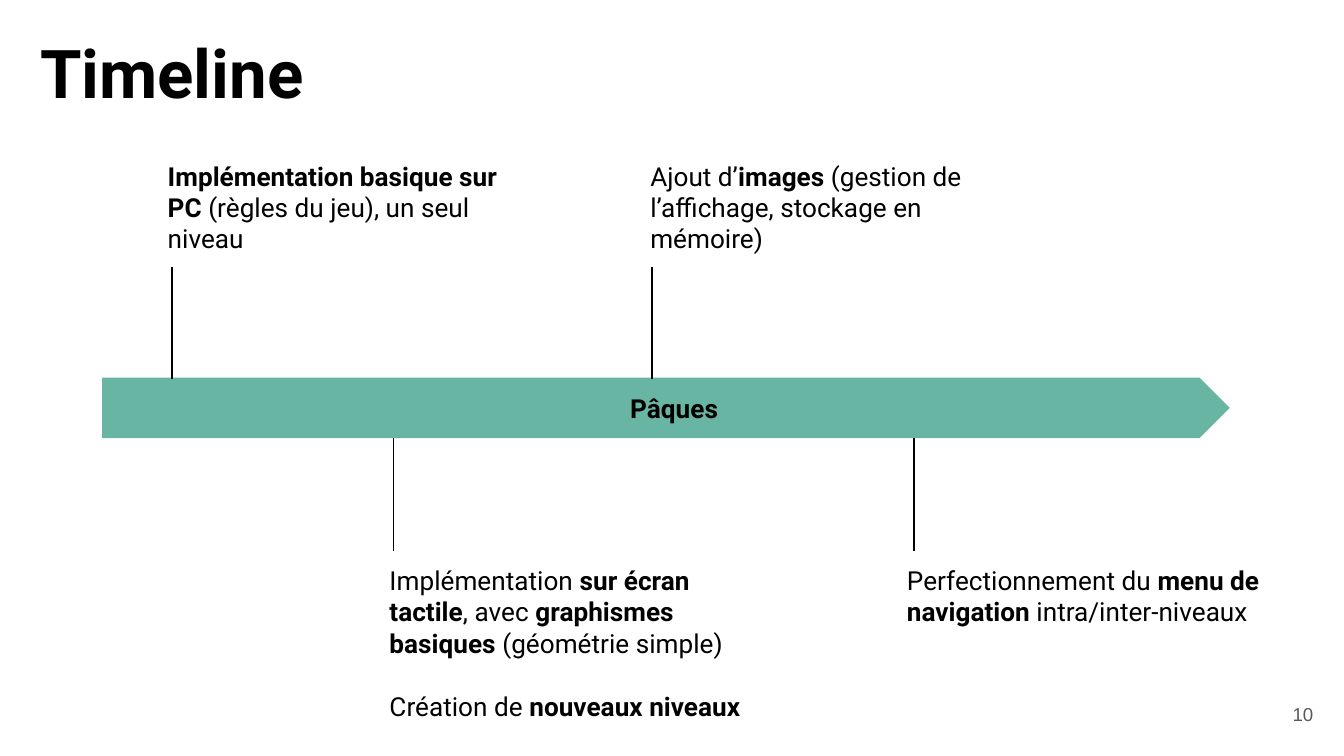
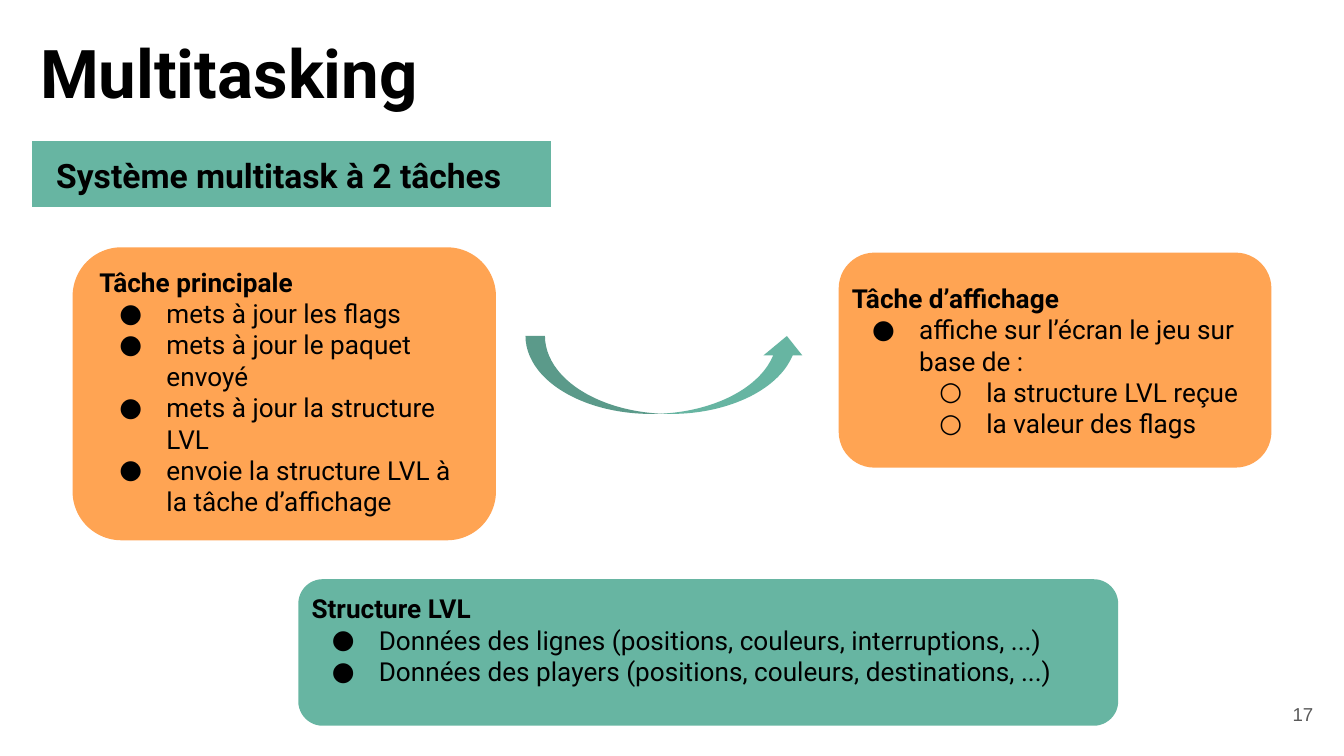
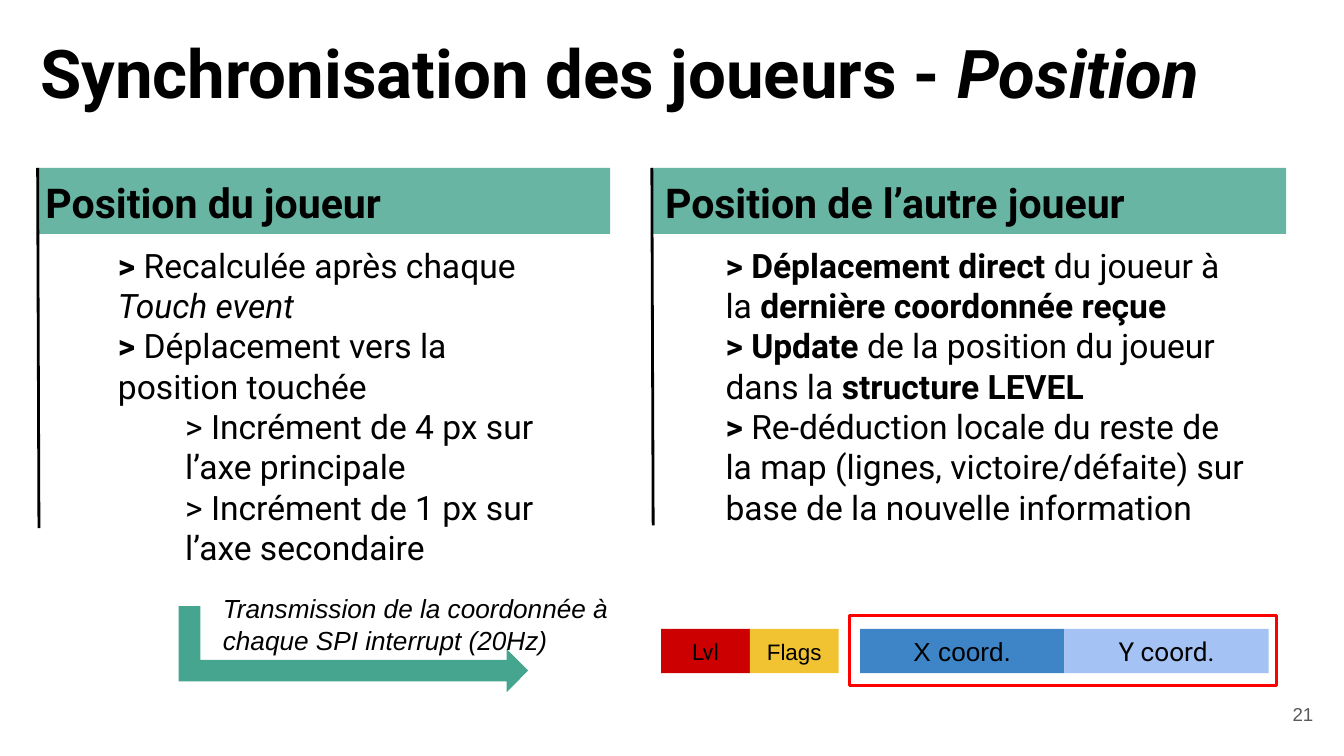
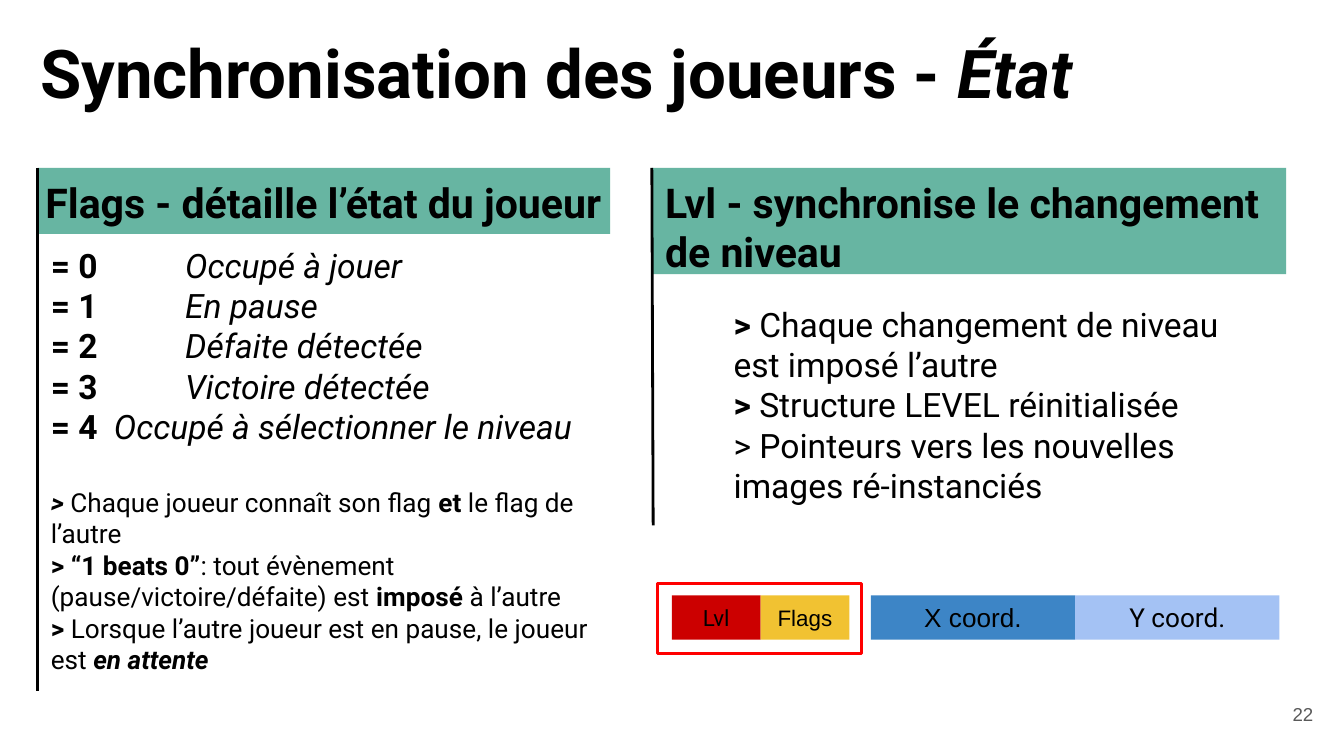
import pptx
import pptx.util
import pptx.dml.color
import pptx.enum.shapes
import pptx.enum.text
import pptx.oxml
import pptx.oxml.ns

PX = 9144
SLIDE_WIDTH = 1000
SHAPE = pptx.enum.shapes.MSO_SHAPE
ALIGN = pptx.enum.text.PP_ALIGN
ANCHOR = pptx.enum.text.MSO_ANCHOR

BLACK, GREY, TEAL, ORANGE, RED = "000000", "595959", "46A58E", "FFA453", "FF0000"
TEAL_OPACITY = 82
DEFAULT = {"name": "Roboto", "size": 14, "color": BLACK}
TITLE = {**DEFAULT, "size": 36}
SUBTITLE = {**DEFAULT, "size": 18}
HEADING = {**DEFAULT, "size": 22}
BODY = {**DEFAULT, "size": 18}
CAPTION = {**DEFAULT, "name": "Arial"}
PAGE = {"name": "Arial", "size": 10, "color": GREY}

TITLE_BOX = (20, 13, 932, 63)
PAGE_BOX = (927, 510, 60, 43)
COLUMN_TOP, HEADING_TOP = 125, 122

ARROW_BOX = (76, 281, 839, 45)
ARROW_LABEL = ("*Pâques*", (459, 282, 108, 22))
MILESTONE_SIZE = (286, 89)
ABOVE = {"text_top": 109, "stem": (282, 199)}
BELOW = {"text_top": 410, "stem": (410, 326)}
MILESTONES = [
    (ABOVE, 115, 128, ["*Implémentation basique sur PC* (règles du jeu), un seul niveau"]),
    (BELOW, 280, 293, [
        "Implémentation *sur écran tactile*, avec *graphismes basiques* (géométrie simple)",
        ("Création de *nouveaux niveaux*", {"gap": 16.8}),
    ]),
    (ABOVE, 474, 485, ["Ajout d’*images* (gestion de l’affichage, stockage en mémoire)"]),
    (BELOW, 665, 680, ["Perfectionnement du *menu de navigation* intra/inter-niveaux"]),
]

SYSTEM = ("*Système multitask à 2 tâches*", (24, 105, 386, 49), (32, 105, 371, 63))
DOT = {"bullet": "●"}
RING = {"bullet": "○", "level": 1}
CARDS = [
    (ORANGE, 100, (54, 184, 315, 218), (64, 188, 295, 177), [
        "*Tâche principale*",
        ("mets à jour les flags", DOT),
        ("mets à jour le paquet envoyé", DOT),
        ("mets à jour la structure LVL", DOT),
        ("envoie la structure LVL à la tâche d’affichage", DOT),
    ]),
    (ORANGE, 100, (624, 188, 322, 160), (624, 200, 315, 177), [
        "*Tâche d’affichage*",
        ("affiche sur l’écran le jeu sur base de :", DOT),
        ("la structure LVL reçue", RING),
        ("la valeur des flags", RING),
    ]),
    (TEAL, TEAL_OPACITY, (222, 431, 610, 109), (222, 431, 691, 90), [
        "*Structure LVL*",
        ("Données des lignes (positions, couleurs, interruptions, ...)", DOT),
        ("Données des players (positions, couleurs, destinations, ...)", DOT),
    ]),
]
HANDOVER_BOX = (391, 250, 209, 58)

LEFT = {"band": (28, 426), "heading": (24, 446)}
RIGHT = {"band": (485, 472), "heading": (485, 472)}
INDENT = {"indent": 50}
DEEPER = {"indent": 100}
WIDE_TAB = {"tab": 100}
NOTE = {"size": 14}

POSITION_COLUMNS = [
    (LEFT, 49, "*Position du joueur*", (29, 393), (28, 172, 404, 259), [
        ("*>* Recalculée après chaque _Touch event_", INDENT),
        ("*> *Déplacement vers la position touchée", INDENT),
        ("> Incrément de 4 px sur l’axe principale", DEEPER),
        ("> Incrément de 1 px sur l’axe secondaire", DEEPER),
    ]),
    (RIGHT, 49, "*Position de l’autre joueur*", (486, 391), (480, 172, 458, 259), [
        ("*> Déplacement direct* du joueur à la *dernière coordonnée reçue*", INDENT),
        ("*> Update *de la position du joueur dans la *structure LEVEL*", INDENT),
        ("*> *Re-déduction locale du reste de la map (lignes, victoire/défaite) "
         "sur base de la nouvelle information", INDENT),
    ]),
]
TRANSMISSION = ("_Transmission de la coordonnée à chaque SPI interrupt (20Hz)_",
                (156, 431, 310, 43), (231, 353, 64, 260))

STATE_COLUMNS = [
    (LEFT, 49, "*Flags - détaille l’état du joueur*", (28, 514), (28, 172, 426, 166), [
        ("*= 0\t*_Occupé à jouer_", WIDE_TAB),
        ("*= 1\t*_En pause_", WIDE_TAB),
        ("*= 2\t*_Défaite détectée_", WIDE_TAB),
        ("*= 3\t*_Victoire détectée_", WIDE_TAB),
        ("*= 4\t*_Occupé à sélectionner le niveau_", {"tab": 47}),
        ("*_> _*Chaque joueur connaît son flag *et* le flag de l’autre", {**NOTE, "gap": 21.6}),
        ("*> “1 beats 0”*: tout évènement (pause/victoire/défaite) est *imposé* à l’autre", NOTE),
        ("*> *Lorsque l’autre joueur est en pause, le joueur est *_en attente_*", NOTE),
    ]),
    (RIGHT, 79, "*Lvl - synchronise le changement de niveau*", (486, 391), (486, 216, 458, 174), [
        ("*> *Chaque changement de niveau est imposé l’autre", INDENT),
        ("*> *Structure LEVEL réinitialisée", INDENT),
        ("> Pointeurs vers les nouvelles images ré-instanciés", INDENT),
    ]),
]

FIELD_HEIGHT = 33
PACKET = [
    ("Lvl", 0, 66, "CC0000", {"name": "Roboto", "size": 12, "color": BLACK}),
    ("Flags", 0, 66, "F1C232", {"name": "Arial", "size": 12, "color": BLACK}),
    ("X coord.", 16, 152, "3D85C6", CAPTION),
    ("Y coord.", 0, 152, "A4C2F4", DEFAULT),
]


def px(*lengths):
    return [pptx.util.Emu(length * PX) for length in lengths]


def rgb(value):
    return pptx.dml.color.RGBColor.from_string(value)


def assign(target, values):
    for key, value in values.items():
        setattr(target, key, value)


def add_xml(parent, tag, **attributes):
    child = pptx.oxml.parse_xml(f"<a:{tag} {pptx.oxml.ns.nsdecls('a')}/>")
    for key, value in attributes.items():
        child.set(key, str(value))
    parent.append(child)
    return child


def add_runs(paragraph, marked, style):
    for strong, piece in enumerate(marked.split("*")):
        for slanted, words in enumerate(piece.split("_")):
            if words:
                run = paragraph.add_run()
                run.text = words
                assign(run.font, {"name": style["name"], "size": pptx.util.Pt(style["size"]),
                                  "bold": strong % 2 == 1, "italic": slanted % 2 == 1})
                run.font.color.rgb = rgb(style["color"])


def layout_paragraph(paragraph, options):
    level = options.get("level", 0)
    paragraph.level = level
    if "gap" in options:
        paragraph.space_before = pptx.util.Pt(options["gap"])
    properties = paragraph._p.get_or_add_pPr()
    if "indent" in options:
        properties.set("marL", str(options["indent"] * PX))
        properties.set("indent", "0")
    if "bullet" in options:
        properties.set("marL", str(50 * (level + 1) * PX))
        properties.set("indent", str(-35 * PX))
        add_xml(add_xml(properties, "buClr"), "srgbClr", val=BLACK)
        add_xml(properties, "buFont", typeface=DEFAULT["name"])
        add_xml(properties, "buChar", char=options["bullet"])
    if "tab" in options:
        add_xml(add_xml(properties, "tabLst"), "tab", pos=options["tab"] * PX, algn="l")


def write(frame, paragraphs, style, align=ALIGN.LEFT, anchor=ANCHOR.TOP):
    margins = ("margin_left", "margin_top", "margin_right", "margin_bottom")
    assign(frame, {"word_wrap": True, "vertical_anchor": anchor,
                   **dict.fromkeys(margins, px(10)[0])})
    for index, entry in enumerate(paragraphs):
        marked, options = (entry, {}) if isinstance(entry, str) else entry
        paragraph = frame.add_paragraph() if index else frame.paragraphs[0]
        paragraph.alignment = align
        layout_paragraph(paragraph, options)
        add_runs(paragraph, marked, {**style, "size": options.get("size", style["size"])})


def add_text(slide, box, paragraphs, style=DEFAULT, **placing):
    write(slide.shapes.add_textbox(*px(*box)).text_frame, paragraphs, style, **placing)


def add_block(slide, kind, box, fill=TEAL, opacity=TEAL_OPACITY):
    block = slide.shapes.add_shape(kind, *px(*box))
    block.shadow.inherit = False
    block.line.fill.background()
    block.fill.solid()
    block.fill.fore_color.rgb = rgb(fill)
    if opacity < 100:
        color = block.fill._xPr.find(".//" + pptx.oxml.ns.qn("a:srgbClr"))
        add_xml(color, "alpha", val=opacity * 1000)
    return block


def add_line(slide, start, end, weight):
    line = slide.shapes.add_connector(pptx.enum.shapes.MSO_CONNECTOR.STRAIGHT, *px(*start, *end))
    line.line.color.rgb = rgb(BLACK)
    line.line.width = pptx.util.Pt(weight)
    add_xml(line._element.spPr, "effectLst")


def add_slide(deck, title, number):
    slide = deck.slides.add_slide(deck.slide_layouts[6])
    add_text(slide, PAGE_BOX, [str(number)], PAGE, align=ALIGN.RIGHT, anchor=ANCHOR.MIDDLE)
    add_text(slide, TITLE_BOX, [title], TITLE)
    return slide


def add_columns(slide, columns):
    for side, band_height, heading, rule_end, body_box, body in columns:
        left, width = side["band"]
        heading_left, heading_width = side["heading"]
        add_block(slide, SHAPE.RECTANGLE, (left, COLUMN_TOP, width, band_height))
        add_text(slide, (heading_left, HEADING_TOP, heading_width, 50), [heading], HEADING)
        add_line(slide, (left, COLUMN_TOP), rule_end, 1.5)
        add_text(slide, body_box, body, BODY)


def add_packet(slide, left, top, highlight):
    for label, gap, width, fill, style in PACKET:
        left += gap
        field = add_block(slide, SHAPE.RECTANGLE, (left, top, width, FIELD_HEIGHT), fill, 100)
        write(field.text_frame, [label], style, align=ALIGN.CENTER, anchor=ANCHOR.MIDDLE)
        left += width
    outline = add_block(slide, SHAPE.RECTANGLE, highlight)
    outline.fill.background()
    outline.line.color.rgb = rgb(RED)
    outline.line.width = pptx.util.Pt(1.5)


def build_timeline(deck):
    slide = add_slide(deck, "*Timeline*", 10)
    add_block(slide, SHAPE.PENTAGON, ARROW_BOX)
    for side, left, stem, paragraphs in MILESTONES:
        start, end = side["stem"]
        add_line(slide, (stem, start), (stem, end), 0.75)
        add_text(slide, (left, side["text_top"], *MILESTONE_SIZE), paragraphs)
    label, box = ARROW_LABEL
    add_text(slide, box, [label])


def build_multitasking(deck):
    slide = add_slide(deck, "*Multitasking*", 17)
    system, band, box = SYSTEM
    add_block(slide, SHAPE.RECTANGLE, band)
    add_text(slide, box, [system], SUBTITLE)
    for fill, opacity, card, text_box, paragraphs in CARDS:
        add_block(slide, SHAPE.ROUNDED_RECTANGLE, card, fill, opacity)
        add_text(slide, text_box, paragraphs)
    add_block(slide, SHAPE.CURVED_UP_ARROW, HANDOVER_BOX)


def build_position(deck):
    slide = add_slide(deck, "*Synchronisation des joueurs - _Position_*", 21)
    add_columns(slide, POSITION_COLUMNS)
    caption, caption_box, arrow_box = TRANSMISSION
    add_block(slide, SHAPE.BENT_UP_ARROW, arrow_box, TEAL, 100).rotation = 90
    add_text(slide, caption_box, [caption], CAPTION)
    add_packet(slide, 492, 468, (632, 458, 318, 52))


def build_state(deck):
    slide = add_slide(deck, "*Synchronisation des joueurs - _État_*", 22)
    add_columns(slide, STATE_COLUMNS)
    add_packet(slide, 500, 443, (489, 434, 152, 52))


def main():
    deck = pptx.Presentation()
    deck.slide_width = px(SLIDE_WIDTH)[0]
    deck.slide_height = deck.slide_width * 9 // 16
    for build in (build_timeline, build_multitasking, build_position, build_state):
        build(deck)
    deck.save("out.pptx")


if __name__ == "__main__":
    main()
